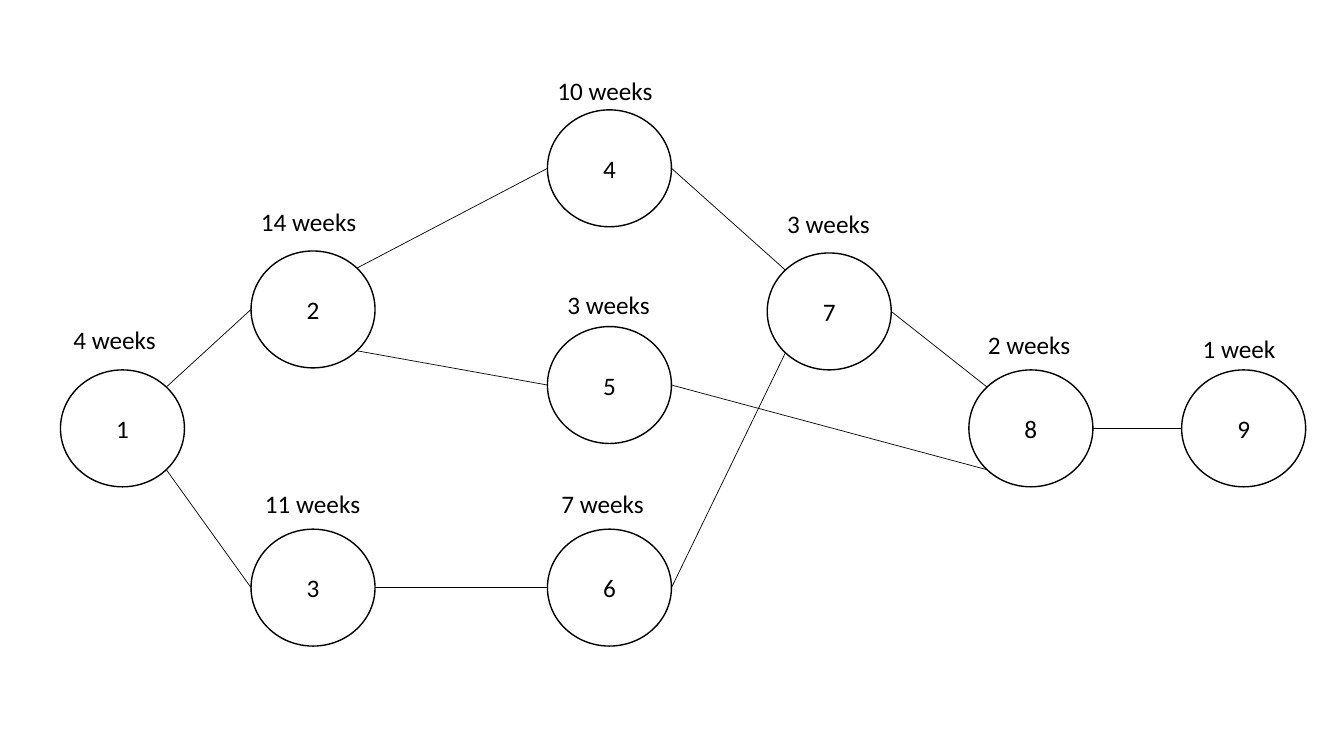
from dataclasses import dataclass
from math import cos, radians, sin

from lxml import etree
from pptx import Presentation
from pptx.dml.color import RGBColor
from pptx.enum.shapes import MSO_CONNECTOR, MSO_SHAPE
from pptx.enum.text import MSO_ANCHOR, MSO_AUTO_SIZE, PP_ALIGN
from pptx.oxml.ns import qn
from pptx.slide import Slide
from pptx.util import Inches, Pt

BLACK = RGBColor(0x00, 0x00, 0x00)
WHITE = RGBColor(0xFF, 0xFF, 0xFF)
NODE_WIDTH, NODE_HEIGHT = 1.23, 1.16
LABEL_HEIGHT = 0.4

# Connection sites of an ellipse, counted counterclockwise from the top
LEFT_TOP, LEFT, LEFT_BOTTOM, RIGHT_BOTTOM, RIGHT, RIGHT_TOP = 1, 2, 3, 5, 6, 7

# Task number: (left, top) of its circle
TASKS = {
    1: (0.6, 3.67),
    2: (2.49, 2.49),
    3: (2.49, 5.25),
    4: (5.43, 1.09),
    5: (5.43, 3.24),
    6: (5.43, 5.25),
    7: (7.61, 2.51),
    8: (9.61, 3.67),
    9: (11.72, 3.67),
}

# From task and site, to task and site
LINKS = [
    (1, RIGHT_TOP, 2, LEFT),
    (1, RIGHT_BOTTOM, 3, LEFT),
    (2, RIGHT_TOP, 4, LEFT),
    (2, RIGHT_BOTTOM, 5, LEFT),
    (3, RIGHT, 6, LEFT),
    (4, RIGHT, 7, LEFT_TOP),
    (6, RIGHT, 7, LEFT_BOTTOM),
    (5, RIGHT, 8, LEFT_BOTTOM),
    (7, RIGHT, 8, LEFT_TOP),
    (8, RIGHT, 9, LEFT),
]

# Text, left, top, width
DURATIONS = [
    ("4 weeks", 0.63, 3.17, 1.03),
    ("14 weeks", 2.49, 2.0, 1.16),
    ("11 weeks", 2.53, 4.8, 1.16),
    ("10 weeks", 5.43, 0.7, 1.16),
    ("3 weeks", 5.53, 2.82, 1.03),
    ("7 weeks", 5.47, 4.8, 1.03),
    ("3 weeks", 7.71, 2.02, 1.03),
    ("2 weeks", 9.7, 3.22, 1.03),
    ("1 week", 11.83, 3.26, 0.93),
]


@dataclass
class NetworkDiagram:
    slide: Slide
    font_name: str = "Calibri"
    font_size: int = 18
    outline_width: float = 1
    link_width: float = 0.5

    def set_text(self, shape, text, alignment):
        shape.text_frame.text = text
        paragraph = shape.text_frame.paragraphs[0]
        paragraph.alignment = alignment
        font = paragraph.runs[0].font
        font.name = self.font_name
        font.size = Pt(self.font_size)
        font.color.rgb = BLACK

    def node(self, number, left, top):
        shape = self.slide.shapes.add_shape(
            MSO_SHAPE.OVAL, Inches(left), Inches(top),
            Inches(NODE_WIDTH), Inches(NODE_HEIGHT))
        shape.shadow.inherit = False
        shape.fill.solid()
        shape.fill.fore_color.rgb = WHITE
        shape.line.color.rgb = BLACK
        shape.line.width = Pt(self.outline_width)
        shape.text_frame.vertical_anchor = MSO_ANCHOR.MIDDLE
        self.set_text(shape, str(number), PP_ALIGN.CENTER)
        return shape

    def site_point(self, node, site):
        """Return the x and y of a connection site on a circle's edge."""
        angle = radians(90 + 45 * site)
        return (round(node.left + node.width / 2 * (1 + cos(angle))),
                round(node.top + node.height / 2 * (1 - sin(angle))))

    def link(self, start, start_site, end, end_site):
        """Draw a line glued to a site of each circle."""
        connector = self.slide.shapes.add_connector(
            MSO_CONNECTOR.STRAIGHT,
            *self.site_point(start, start_site),
            *self.site_point(end, end_site))
        connector.line.color.rgb = BLACK
        connector.line.width = Pt(self.link_width)
        element = connector.element
        etree.SubElement(element.spPr, qn("a:effectLst"))
        properties = element.find(".//" + qn("p:cNvCxnSpPr"))
        for tag, node, site in (("a:stCxn", start, start_site),
                                ("a:endCxn", end, end_site)):
            etree.SubElement(properties, qn(tag),
                             id=str(node.shape_id), idx=str(site))

    def label(self, text, left, top, width):
        box = self.slide.shapes.add_textbox(
            Inches(left), Inches(top), Inches(width), Inches(LABEL_HEIGHT))
        box.text_frame.word_wrap = False
        box.text_frame.auto_size = MSO_AUTO_SIZE.SHAPE_TO_FIT_TEXT
        self.set_text(box, text, PP_ALIGN.LEFT)


def main():
    presentation = Presentation()
    presentation.slide_width = Inches(13.33)
    presentation.slide_height = Inches(7.5)
    blank_layout = presentation.slide_layouts[6]
    diagram = NetworkDiagram(presentation.slides.add_slide(blank_layout))

    nodes = {number: diagram.node(number, left, top)
             for number, (left, top) in TASKS.items()}
    for start, start_site, end, end_site in LINKS:
        diagram.link(nodes[start], start_site, nodes[end], end_site)
    for duration in DURATIONS:
        diagram.label(*duration)

    presentation.save("out.pptx")


if __name__ == "__main__":
    main()
